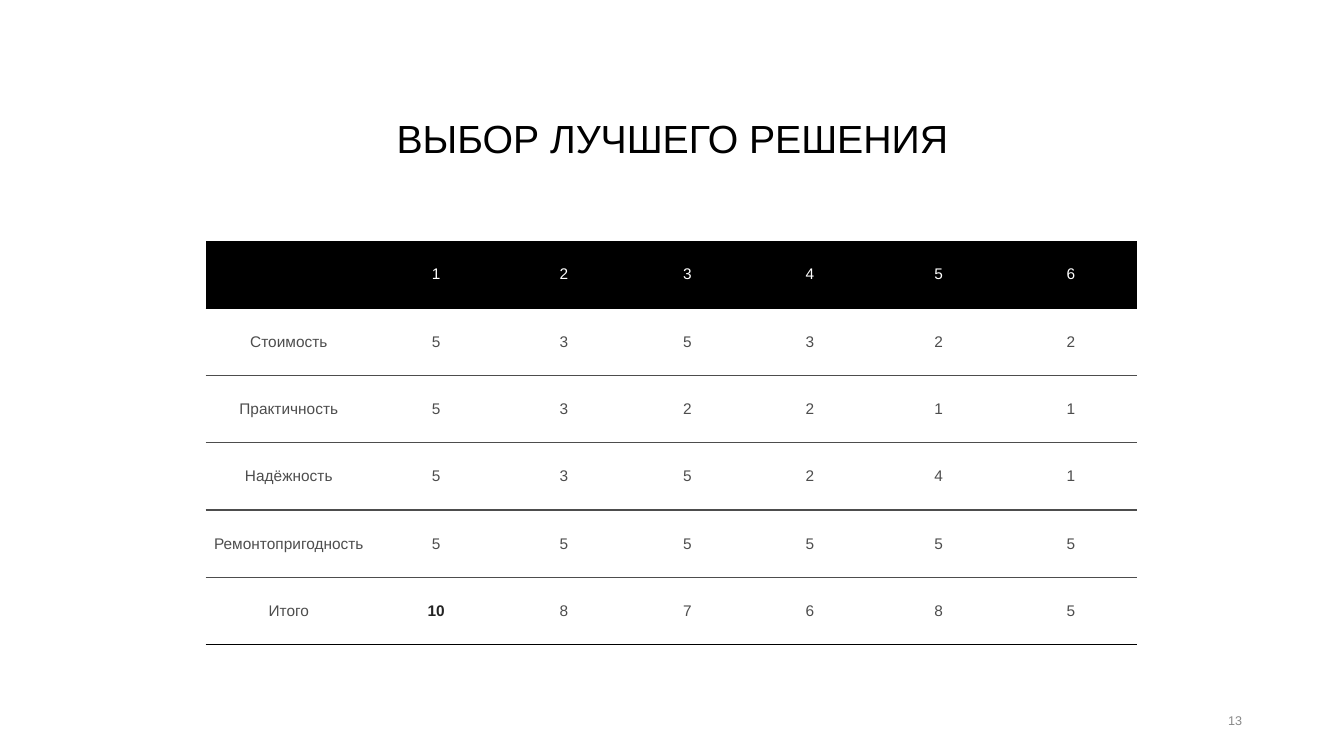
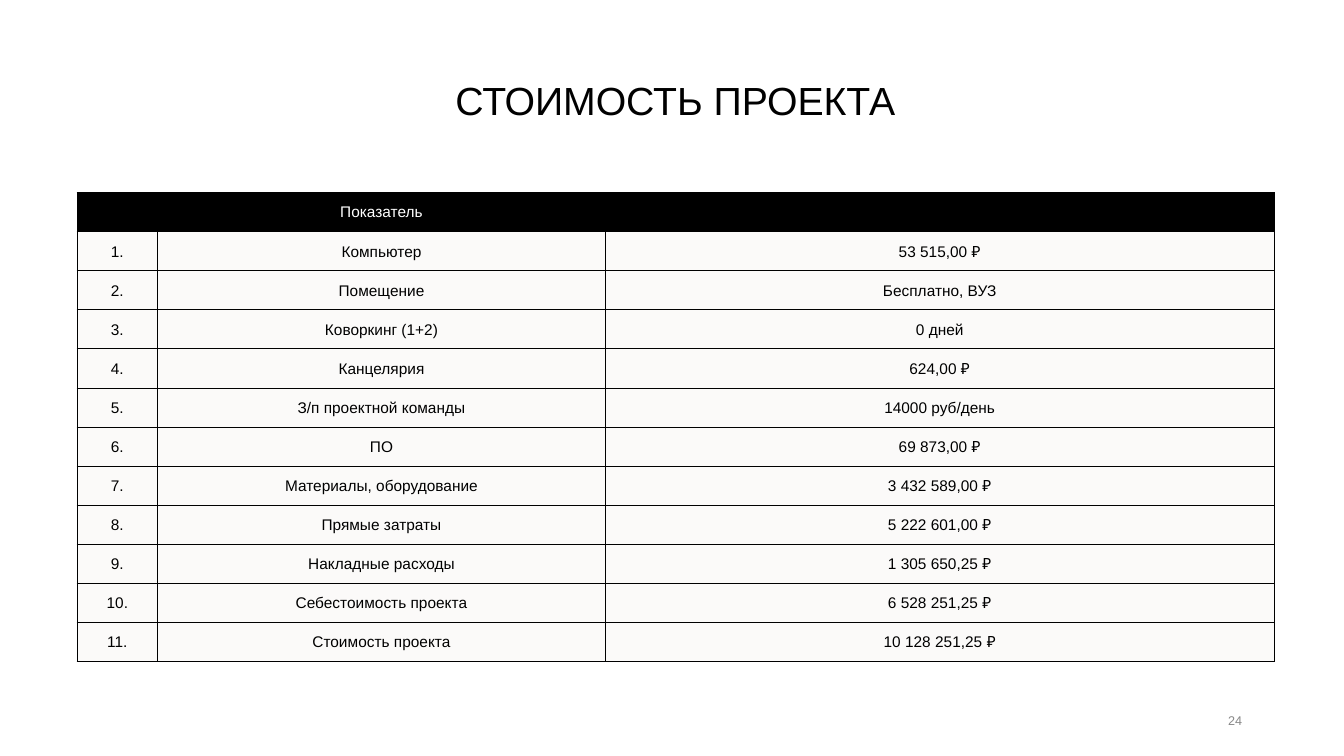
from dataclasses import dataclass

import lxml.etree
import pptx
import pptx.dml.color
import pptx.enum.text
import pptx.oxml.ns
import pptx.presentation
import pptx.slide
import pptx.table
import pptx.text.text
import pptx.util

SLIDE_WIDTH = pptx.util.Inches(13.33)
SLIDE_HEIGHT = pptx.util.Inches(7.5)
FONT = "Arial"
PLAIN_TABLE_STYLE = "{2D5ABB26-0587-4C30-8999-92F81FD0307C}"
COLORS = {
    "black": "000000",
    "white": "FFFFFF",
    "charcoal": "242424",
    "gray": "4D4D4D",
    "number": "888888",
    "cell": "FBFAF9",
}


@dataclass(frozen=True)
class Area:
    """A rectangle in percent of the slide's width and height."""
    left: float
    top: float
    width: float
    height: float

    def box(self) -> tuple[int, int, int, int]:
        return (
            round(SLIDE_WIDTH * self.left / 100),
            round(SLIDE_HEIGHT * self.top / 100),
            round(SLIDE_WIDTH * self.width / 100),
            round(SLIDE_HEIGHT * self.height / 100),
        )


@dataclass(frozen=True)
class TableStyle:
    """Margins are left, top, right, bottom in inches; sides are those with a line."""
    text: str
    fill: str | None
    inner_line: str
    line_width: float
    sides: str
    margins: tuple[float, float, float, float]


@dataclass(frozen=True)
class TableSlide:
    title: str
    number: int
    title_area: Area
    table_area: Area
    column_weights: tuple[int, ...]
    rows: list[tuple[str, ...]]
    style: TableStyle
    best_cell: tuple[int, int] | None = None


NUMBER_AREA = Area(70.65, 92.67, 22.5, 5.33)

RULED = TableStyle("gray", None, "gray", 1, "B", (0.08, 0.04, 0.08, 0.04))
GRID = TableStyle("black", "cell", "black", 0.75, "LRTB", (0.01, 0.01, 0.01, 0))

SCORES = [
    ("", "1", "2", "3", "4", "5", "6"),
    ("Стоимость", "5", "3", "5", "3", "2", "2"),
    ("Практичность", "5", "3", "2", "2", "1", "1"),
    ("Надёжность", "5", "3", "5", "2", "4", "1"),
    ("Ремонтопригодность", "5", "5", "5", "5", "5", "5"),
    ("Итого", "10", "8", "7", "6", "8", "5"),
]

COSTS = [
    ("Компьютер", "53 515,00 ₽"),
    ("Помещение", "Бесплатно, ВУЗ"),
    ("Коворкинг (1+2)", "0 дней"),
    ("Канцелярия", "624,00 ₽"),
    ("З/п проектной команды", "14000 руб/день"),
    ("ПО", "69 873,00 ₽"),
    ("Материалы, оборудование", "3 432 589,00 ₽"),
    ("Прямые затраты", "5 222 601,00 ₽"),
    ("Накладные расходы", "1 305 650,25 ₽"),
    ("Себестоимость проекта", "6 528 251,25 ₽"),
    ("Стоимость проекта", "10 128 251,25 ₽"),
]
COST_ROWS = [("", "Показатель", "")] + [
    (f"{number}.", *cost) for number, cost in enumerate(COSTS, start=1)
]

SLIDES = [
    TableSlide(
        "ВЫБОР ЛУЧШЕГО РЕШЕНИЯ", 13,
        Area(6.9, 8.93, 86.25, 19.33), Area(15.3, 31.87, 69.3, 53.4),
        (165, 127, 126, 119, 124, 131, 131), SCORES, RULED, best_cell=(5, 1),
    ),
    TableSlide(
        "СТОИМОСТЬ ПРОЕКТА", 24,
        Area(6, 6.93, 88.5, 13.47), Area(5.73, 25.47, 89.07, 62.1),
        (80, 444, 663), COST_ROWS, GRID,
    ),
]


def rgb(name: str) -> pptx.dml.color.RGBColor:
    return pptx.dml.color.RGBColor.from_string(COLORS[name])


def write(
    frame: pptx.text.text.TextFrame, text: str, size: float, color: str,
    alignment: pptx.enum.text.PP_ALIGN = pptx.enum.text.PP_ALIGN.CENTER,
    bold: bool = False,
) -> pptx.text.text._Paragraph:
    frame.text = text
    frame.word_wrap = True
    paragraph = frame.paragraphs[0]
    paragraph.alignment = alignment
    paragraph.font.name = FONT
    paragraph.font.size = pptx.util.Pt(size)
    paragraph.font.bold = bold
    paragraph.font.color.rgb = rgb(color)
    return paragraph


def add_title(slide: pptx.slide.Slide, text: str, area: Area) -> None:
    title = slide.shapes.title
    title.left, title.top, title.width, title.height = area.box()
    title.text_frame.vertical_anchor = pptx.enum.text.MSO_ANCHOR.MIDDLE
    write(title.text_frame, text, 28, "black").line_spacing = 0.9


def add_number(slide: pptx.slide.Slide, number: int) -> None:
    frame = slide.shapes.add_textbox(*NUMBER_AREA.box()).text_frame
    frame.vertical_anchor = pptx.enum.text.MSO_ANCHOR.MIDDLE
    write(frame, str(number), 9, "number", pptx.enum.text.PP_ALIGN.RIGHT)


def add_borders(cell: pptx.table._Cell, sides: str, color: str, width: float) -> None:
    """Must run before the cell's fill is set, as lines precede fills."""
    qn = pptx.oxml.ns.qn
    properties = cell._tc.get_or_add_tcPr()
    for side in sides:
        line = lxml.etree.SubElement(
            properties, qn(f"a:ln{side}"), w=str(pptx.util.Pt(width)))
        fill = lxml.etree.SubElement(line, qn("a:solidFill"))
        lxml.etree.SubElement(fill, qn("a:srgbClr"), val=COLORS[color])


def fill_cell(cell: pptx.table._Cell, color: str | None) -> None:
    if color is None:
        cell.fill.background()
    else:
        cell.fill.solid()
        cell.fill.fore_color.rgb = rgb(color)


def add_table(slide: pptx.slide.Slide, content: TableSlide) -> None:
    style, rows, weights = content.style, content.rows, content.column_weights
    left, top, width, height = content.table_area.box()
    table = slide.shapes.add_table(
        len(rows), len(weights), left, top, width, height).table
    table.horz_banding = False
    table._tbl.tblPr.find(pptx.oxml.ns.qn("a:tableStyleId")).text = PLAIN_TABLE_STYLE
    for column, weight in zip(table.columns, weights):
        column.width = round(width * weight / sum(weights))

    for row_index, row in enumerate(rows):
        is_header = row_index == 0
        is_edge = row_index in (0, len(rows) - 1)
        for column_index, text in enumerate(row):
            cell = table.cell(row_index, column_index)
            is_best = (row_index, column_index) == content.best_cell
            color = "white" if is_header else "charcoal" if is_best else style.text
            write(cell.text_frame, text, 11, color, bold=is_best)
            cell.vertical_anchor = pptx.enum.text.MSO_ANCHOR.MIDDLE
            (cell.margin_left, cell.margin_top,
             cell.margin_right, cell.margin_bottom) = map(
                pptx.util.Inches, style.margins)
            add_borders(cell, style.sides, "black" if is_edge else style.inner_line,
                        style.line_width)
            fill_cell(cell, "black" if is_header else style.fill)


def add_table_slide(
    presentation: pptx.presentation.Presentation, content: TableSlide,
) -> None:
    title_only = presentation.slide_layouts.get_by_name("Title Only")
    slide = presentation.slides.add_slide(title_only)
    add_title(slide, content.title, content.title_area)
    add_number(slide, content.number)
    add_table(slide, content)


def main() -> None:
    presentation = pptx.Presentation()
    presentation.slide_width = SLIDE_WIDTH
    presentation.slide_height = SLIDE_HEIGHT
    for content in SLIDES:
        add_table_slide(presentation, content)
    presentation.save("out.pptx")


if __name__ == "__main__":
    main()
